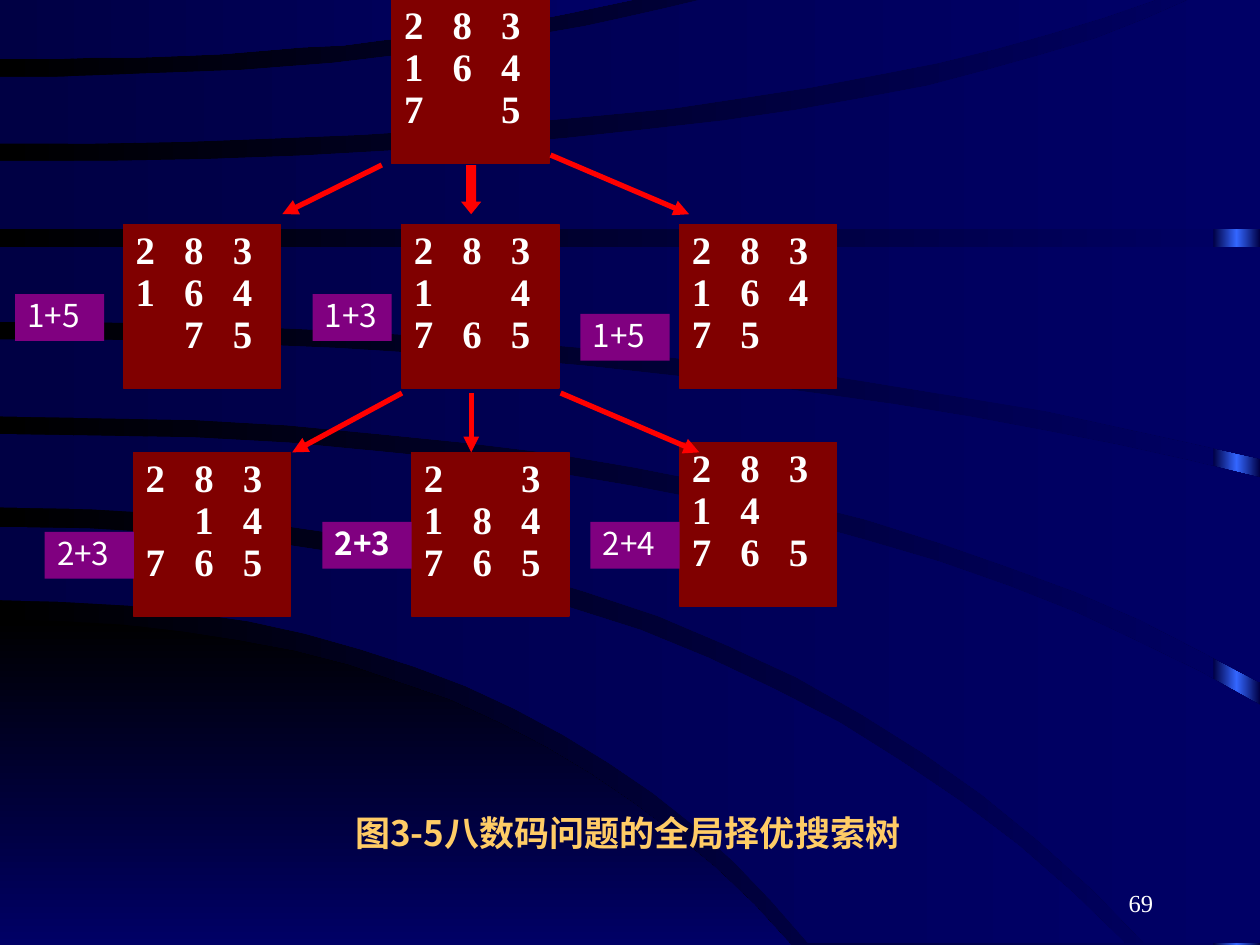
from copy import deepcopy

from lxml import etree
from pptx import Presentation
from pptx.dml.color import RGBColor
from pptx.enum.shapes import MSO_CONNECTOR, MSO_SHAPE
from pptx.enum.text import MSO_ANCHOR, PP_ALIGN
from pptx.oxml.ns import qn
from pptx.util import Pt

RECTANGLE, DOWN_ARROW = MSO_SHAPE.RECTANGLE, MSO_SHAPE.DOWN_ARROW
STRAIGHT = MSO_CONNECTOR.STRAIGHT
TOP, MIDDLE, BOTTOM = MSO_ANCHOR.TOP, MSO_ANCHOR.MIDDLE, MSO_ANCHOR.BOTTOM
LEFT, RIGHT = PP_ALIGN.LEFT, PP_ALIGN.RIGHT

BLACK = RGBColor(0x00, 0x00, 0x00)
NAVY = RGBColor(0x00, 0x00, 0x66)
DARK_NAVY = RGBColor(0x00, 0x00, 0x44)
BLUE = RGBColor(0x33, 0x66, 0xFF)
MAROON = RGBColor(0x80, 0x00, 0x00)
PURPLE = RGBColor(0x80, 0x00, 0x80)
RED = RGBColor(0xFF, 0x00, 0x00)
WHITE = RGBColor(0xFF, 0xFF, 0xFF)
GOLD = RGBColor(0xFF, 0xCC, 0x66)
SERIF, SANS = "Times New Roman", "Noto Sans CJK SC"
WIDTH, HEIGHT = 720, 540


def set_gradient(fill, start, end, angle=0):
    fill.gradient()
    fill.gradient_angle = angle
    for stop, position, color in zip(fill.gradient_stops, (0, 1), (start, end)):
        stop.position = position
        stop.color.rgb = color


def set_font(paragraph, name, size, color, bold=False):
    font = paragraph.font
    font.name, font.size, font.bold = name, Pt(size), bold
    font.color.rgb = color
    east_asian = etree.SubElement(paragraph._p.pPr.find(qn("a:defRPr")), qn("a:ea"))
    east_asian.set("typeface", name)


prs = Presentation()
prs.slide_width, prs.slide_height = Pt(WIDTH), Pt(HEIGHT)
slide = prs.slides.add_slide(prs.slide_layouts[6])
shapes = slide.shapes

# Background with a glowing strip on the right edge
set_gradient(slide.background.fill, BLACK, NAVY)
strip = shapes.add_shape(RECTANGLE, Pt(693.4), 0, Pt(26.6), Pt(HEIGHT))
strip.shadow.inherit = False
strip.line.fill.background()
set_gradient(strip.fill, DARK_NAVY, BLUE)
first_stop, middle_stop = strip._element.spPr.iter(qn("a:gs"))
middle_stop.set("pos", "50000")
last_stop = deepcopy(first_stop)
last_stop.set("pos", "100000")
middle_stop.addnext(last_stop)

# Curved bands. Each edge is a quadratic curve that starts level at the left:
# start y, x of the control point, end x, end y
STEPS = 16
bands = [
    ((354, 288, 452, 540), (540, 226, 452, 540)),
    ((301, 410, 643, 539), (343, 301, 462, 539)),
    ((248, 458, 720, 403), (290, 425, 654, 539)),
    ((194, 398, 720, 273), (238, 456, 720, 390)),
    ((141, 360, 720, 141), (184, 402, 720, 262)),
    ((92, 486, 679, 0), (131, 360, 720, 131)),
    ((44, 230, 400, 0), (82, 438, 660, 0)),
    ((0, 180, 361, 0), (34, 211, 361, 0)),
]
for index, edges in enumerate(bands):
    upper, lower = [
        [(2 * t * (1 - t) * control_x + t * t * end_x, start_y + t * t * (end_y - start_y))
         for t in (step / STEPS for step in range(STEPS + 1))]
        for start_y, control_x, end_x, end_y in edges
    ]
    shorter_end, longer_end = sorted((upper[-1], lower[-1]))
    corner = [(WIDTH, shorter_end[1])] if longer_end[0] == WIDTH else []
    outline = upper + corner + lower[::-1]
    builder = shapes.build_freeform(*outline[0], scale=Pt(1))
    builder.add_line_segments(outline[1:], close=True)
    band = builder.convert_to_shape()
    band.shadow.inherit = False
    band.line.fill.background()
    if index == 0:
        set_gradient(band.fill, BLACK, NAVY, 270)
    else:
        set_gradient(band.fill, DARK_NAVY, NAVY)

# Page number and caption
for text, box, anchor, align, style in [
    ("69", (516.2, 491.8, 149.8, 36), BOTTOM, RIGHT, (SERIF, 14, WHITE)),
    ("图3-5八数码问题的全局择优搜索树", (195.8, 447, 464.4, 57.6), MIDDLE, LEFT,
     (SANS, 20, GOLD, True)),
]:
    frame = shapes.add_textbox(*map(Pt, box)).text_frame
    frame.word_wrap = True
    frame.vertical_anchor = anchor
    paragraph = frame.paragraphs[0]
    paragraph.text = text
    paragraph.alignment = align
    set_font(paragraph, *style)

# Puzzle states: left, top, rows (a space is the empty cell)
COLUMN_PITCH = 27.75
states = [
    (223.8, 0, ["283", "164", "7 5"]),
    (70.4, 128.2, ["283", "164", " 75"]),
    (229.4, 128.2, ["283", "1 4", "765"]),
    (388.2, 128.2, ["283", "164", "75"]),
    (76.2, 258.5, ["283", " 14", "765"]),
    (235.2, 258.5, ["2 3", "184", "765"]),
    (388.2, 252.8, ["283", "14", "765"]),
]
for left, top, rows in states:
    state = shapes.add_shape(RECTANGLE, Pt(left), Pt(top), Pt(90), Pt(93.6))
    state.shadow.inherit = False
    state.fill.solid()
    state.fill.fore_color.rgb = MAROON
    state.line.color.rgb = MAROON
    state.line.width = Pt(0.75)
    frame = state.text_frame
    frame.vertical_anchor = TOP
    for index, row in enumerate(rows):
        paragraph = frame.paragraphs[0] if index == 0 else frame.add_paragraph()
        paragraph.text = "\t".join(cell.strip() for cell in row)
        tab_list = etree.SubElement(paragraph._p.get_or_add_pPr(), qn("a:tabLst"))
        for column in (1, 2):
            tab = etree.SubElement(tab_list, qn("a:tab"))
            tab.set("pos", str(Pt(column * COLUMN_PITCH)))
            tab.set("algn", "l")
        paragraph.alignment = LEFT
        paragraph.line_spacing = 0.9
        set_font(paragraph, SERIF, 22.2, WHITE, True)

# Block arrow to the chosen state, line arrows for the other moves
chosen = shapes.add_shape(DOWN_ARROW, Pt(263.5), Pt(94.3), Pt(11.5), Pt(28.1))
chosen.shadow.inherit = False
chosen.adjustments[0], chosen.adjustments[1] = 0.5, 0.62
chosen.fill.solid()
chosen.fill.fore_color.rgb = RED
chosen.line.fill.background()

for ends in [
    (218.2, 94.3, 161.3, 122.4),
    (314.6, 88.6, 393.8, 122.4),
    (229.7, 224.6, 167, 258.5),
    (269.3, 224.6, 269.3, 258.5),
    (320.4, 224.6, 399.6, 258.5),
]:
    move = shapes.add_connector(STRAIGHT, *map(Pt, ends))
    move.line.color.rgb = RED
    move.line.width = Pt(3)
    properties = move._element.spPr
    etree.SubElement(properties.find(qn("a:ln")), qn("a:tailEnd")).set("type", "triangle")
    etree.SubElement(properties, qn("a:effectLst"))

# Cost labels: depth + estimate
for cost, left, top, width, bold in [
    ("1+5", 8.6, 168, 51, False),
    ("1+3", 178.6, 168, 45.2, False),
    ("1+5", 331.7, 179.3, 51, False),
    ("2+3", 25.5, 303.9, 51, False),
    ("2+3", 184.2, 298.2, 51, True),
    ("2+4", 337.4, 298.2, 51, False),
]:
    label = shapes.add_shape(RECTANGLE, Pt(left), Pt(top), Pt(width), Pt(26.8))
    label.shadow.inherit = False
    label.fill.solid()
    label.fill.fore_color.rgb = PURPLE
    label.line.fill.background()
    label.text_frame.vertical_anchor = TOP
    paragraph = label.text_frame.paragraphs[0]
    paragraph.text = cost
    paragraph.alignment = LEFT
    paragraph.line_spacing = 0.9
    set_font(paragraph, SANS, 18, WHITE, bold)

prs.save("out.pptx")
